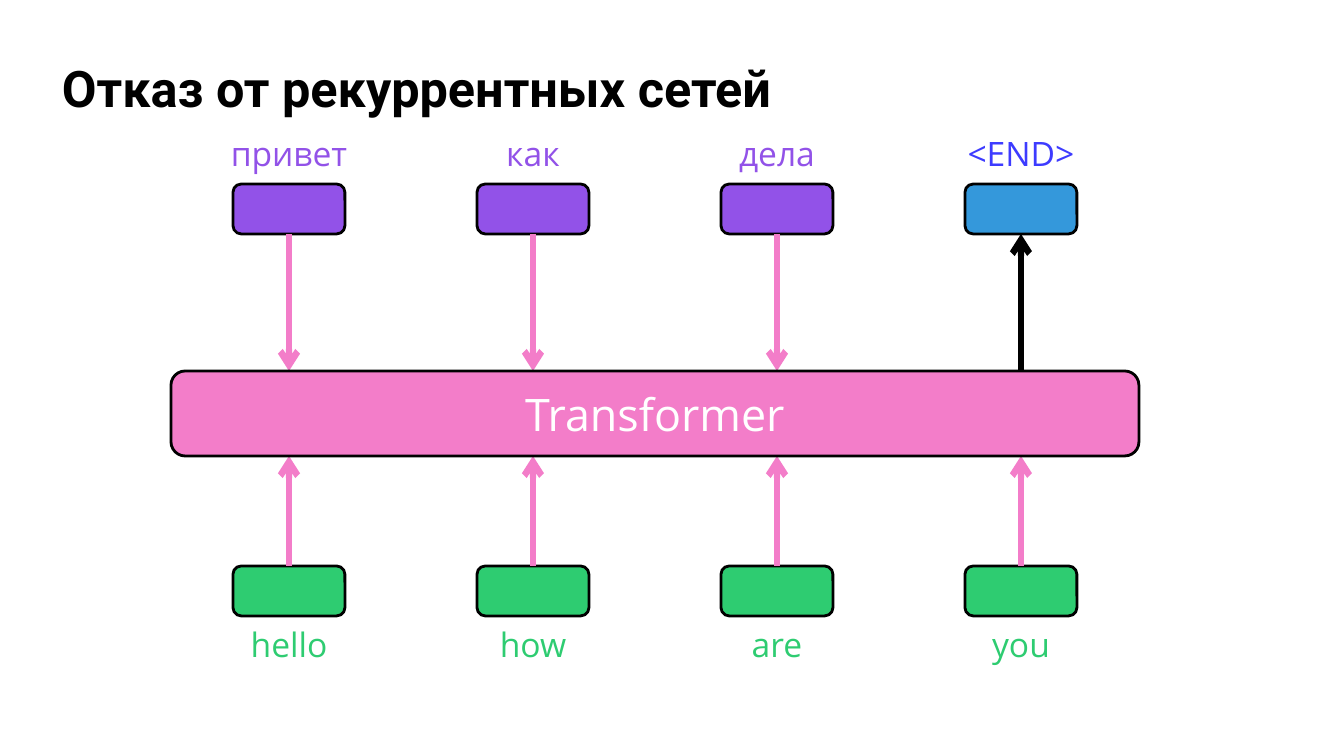
"""Build a slide showing a Transformer that replaces recurrent networks."""
from dataclasses import dataclass

from lxml.etree import SubElement
from pptx import Presentation
from pptx.dml.color import RGBColor
from pptx.enum.shapes import MSO_CONNECTOR, MSO_SHAPE
from pptx.enum.text import MSO_ANCHOR, PP_ALIGN
from pptx.oxml.ns import qn
from pptx.util import Pt


@dataclass(frozen=True)
class Theme:
    black: str = "000000"
    white: str = "FFFFFF"
    purple: str = "9252E8"
    blue: str = "3498DB"
    indigo: str = "3D3BFF"
    green: str = "2ECC71"
    pink: str = "F37DC9"
    heading_font: str = "Roboto"
    body_font: str = "Open Sans"
    title_size: int = 36
    model_size: int = 32
    label_size: int = 24
    outline: float = 2
    arrow: float = 4.5


theme = Theme()
TITLE = "Отказ от рекуррентных сетей"
MODEL = "Transformer"
INPUTS = ["hello", "how", "are", "you"]
OUTPUTS = [
    ("привет", theme.purple, theme.purple, False),
    ("как", theme.purple, theme.purple, False),
    ("дела", theme.purple, theme.purple, False),
    ("<END>", theme.indigo, theme.blue, True),
]

PIXEL = 914400 / 100.8
SLIDE_WIDTH, SLIDE_HEIGHT = 1344, 756
FIRST_CENTER, COLUMN_STEP = 289, 244
TOKEN_WIDTH, TOKEN_HEIGHT = 112, 50
LABEL_WIDTH, LABEL_HEIGHT = 153, 50
OUTPUT_LABEL_TOP, OUTPUT_TOP = 128, 184
INPUT_TOP, INPUT_LABEL_TOP = 566, 619
MODEL_LEFT, MODEL_TOP, MODEL_WIDTH, MODEL_HEIGHT = 171, 371, 968, 85


def emu(*lengths):
    return [round(length * PIXEL) for length in lengths]


def write(box, text, *, size, color, font=theme.body_font, bold=False,
          align=PP_ALIGN.CENTER, anchor=MSO_ANCHOR.TOP, spacing=1.0):
    frame = box.text_frame
    frame.word_wrap = True
    frame.vertical_anchor = anchor
    para = frame.paragraphs[0]
    para.alignment = align
    para.line_spacing = spacing
    span = para.add_run()
    span.text = text
    span.font.name = font
    span.font.size = Pt(size)
    span.font.bold = bold
    span.font.color.rgb = RGBColor.from_string(color)


def add_label(page, text, center, top, color):
    box = page.shapes.add_textbox(
        *emu(center - LABEL_WIDTH / 2, top, LABEL_WIDTH, LABEL_HEIGHT))
    write(box, text, size=theme.label_size, color=color)


def add_block(page, left, top, width, height, color):
    block = page.shapes.add_shape(
        MSO_SHAPE.ROUNDED_RECTANGLE, *emu(left, top, width, height))
    block.shadow.inherit = False
    block.fill.solid()
    block.fill.fore_color.rgb = RGBColor.from_string(color)
    block.line.color.rgb = RGBColor.from_string(theme.black)
    block.line.width = Pt(theme.outline)
    return block


def add_token(page, center, top, color):
    add_block(page, center - TOKEN_WIDTH / 2, top, TOKEN_WIDTH, TOKEN_HEIGHT, color)


def add_arrow(page, center, start, end, color):
    arrow = page.shapes.add_connector(
        MSO_CONNECTOR.STRAIGHT, *emu(center, start, center, end))
    arrow.line.color.rgb = RGBColor.from_string(color)
    arrow.line.width = Pt(theme.arrow)
    SubElement(arrow.line._get_or_add_ln(), qn("a:tailEnd"), type="arrow")
    SubElement(arrow._element.spPr, qn("a:effectLst"))


def main():
    deck = Presentation()
    deck.slide_width, deck.slide_height = emu(SLIDE_WIDTH, SLIDE_HEIGHT)
    page = deck.slides.add_slide(deck.slide_layouts[6])

    title = page.shapes.add_textbox(*emu(52, 55, 1279, 73))
    write(title, TITLE, size=theme.title_size, color=theme.black,
          font=theme.heading_font, bold=True, align=PP_ALIGN.LEFT,
          anchor=MSO_ANCHOR.MIDDLE, spacing=0.9)

    output_bottom = OUTPUT_TOP + TOKEN_HEIGHT
    model_bottom = MODEL_TOP + MODEL_HEIGHT
    for column, (word, output) in enumerate(zip(INPUTS, OUTPUTS)):
        center = FIRST_CENTER + column * COLUMN_STEP
        answer, text_color, token_color, predicted = output
        add_label(page, answer, center, OUTPUT_LABEL_TOP, text_color)
        add_token(page, center, OUTPUT_TOP, token_color)
        if predicted:
            add_arrow(page, center, MODEL_TOP, output_bottom, theme.black)
        else:
            add_arrow(page, center, output_bottom, MODEL_TOP, theme.pink)
        add_token(page, center, INPUT_TOP, theme.green)
        add_arrow(page, center, INPUT_TOP, model_bottom, theme.pink)
        add_label(page, word, center, INPUT_LABEL_TOP, theme.green)

    model = add_block(page, MODEL_LEFT, MODEL_TOP, MODEL_WIDTH, MODEL_HEIGHT, theme.pink)
    write(model, MODEL, size=theme.model_size, color=theme.white,
          anchor=MSO_ANCHOR.MIDDLE)
    deck.save("out.pptx")


if __name__ == "__main__":
    main()
